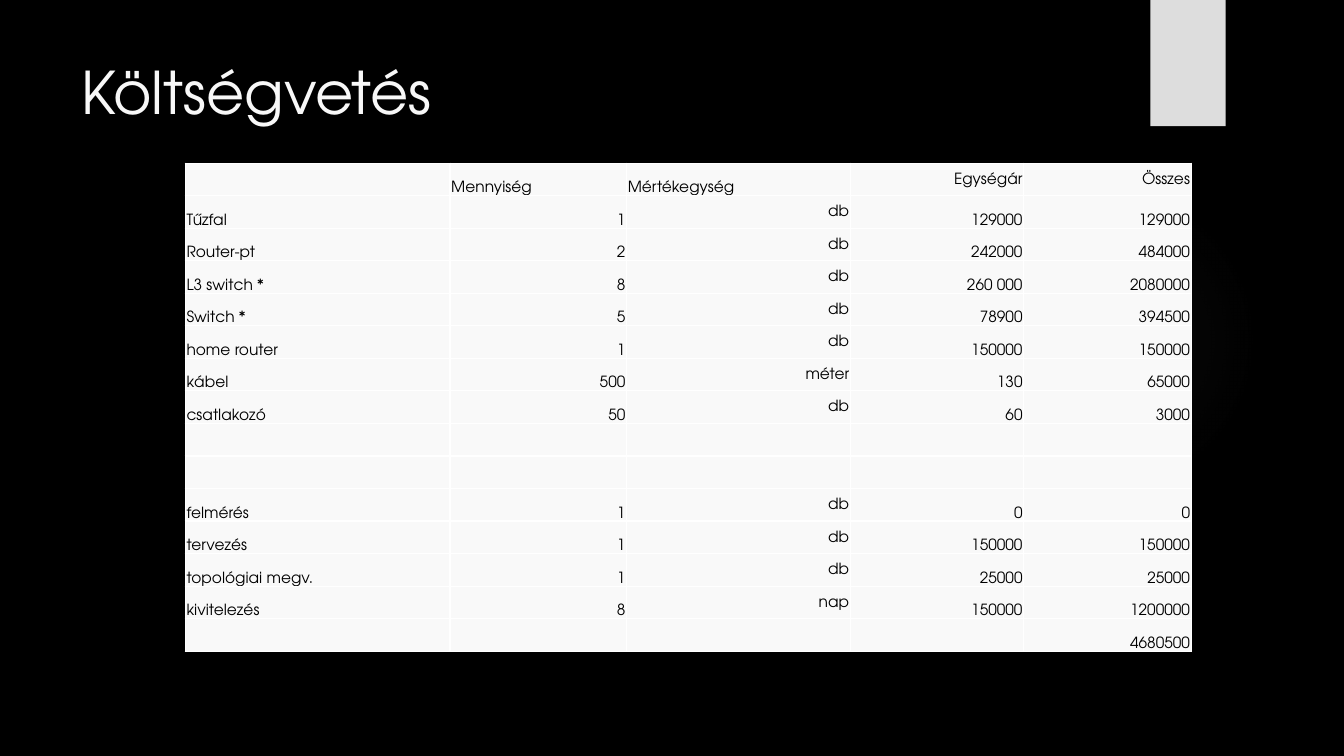
from lxml.etree import SubElement
from pptx import Presentation
from pptx.dml.color import RGBColor
from pptx.enum.shapes import MSO_SHAPE
from pptx.enum.text import MSO_ANCHOR, PP_ALIGN
from pptx.oxml import parse_xml
from pptx.oxml.ns import nsdecls, qn
from pptx.util import Cm, Pt

FONT = "TeX Gyre Adventor"
COLUMN_WIDTHS = [6.67, 4.45, 5.64, 4.37, 4.22]
ROW_HEIGHT = 0.82
UNIT_COLUMN = 2
BUDGET = [
    ["", "Mennyiség", "Mértékegység", "Egységár", "Összes"],
    ["Tűzfal", "1", "db", "129000", "129000"],
    ["Router-pt", "2", "db", "242000", "484000"],
    ["L3 switch *", "8", "db", "260 000", "2080000"],
    ["Switch *", "5", "db", "78900", "394500"],
    ["home router", "1", "db", "150000", "150000"],
    ["kábel", "500", "méter", "130", "65000"],
    ["csatlakozó", "50", "db", "60", "3000"],
    [""] * 5,
    [""] * 5,
    ["felmérés", "1", "db", "0", "0"],
    ["tervezés", "1", "db", "150000", "150000"],
    ["topológiai megv.", "1", "db", "25000", "25000"],
    ["kivitelezés", "8", "nap", "150000", "1200000"],
    ["", "", "", "", "4680500"],
]


def color(value):
    return RGBColor.from_string(value)


def format_runs(paragraph, size, value):
    for run in paragraph.runs:
        run.font.name = FONT
        run.font.size = Pt(size)
        run.font.color.rgb = color(value)


def add_plain_shape(slide, kind, left, top, width, height, fill):
    shape = slide.shapes.add_shape(kind, Cm(left), Cm(top), Cm(width), Cm(height))
    shape.shadow.inherit = False
    shape.fill.solid()
    shape.fill.fore_color.rgb = color(fill)
    shape.line.fill.background()
    return shape


def add_glow(slide, left, top, size):
    glow = add_plain_shape(slide, MSO_SHAPE.OVAL, left, top, size, size, "666666")
    # Radial gradient that fades to full transparency
    stops = "".join(
        f'<a:gs pos="{position * 1000}"><a:srgbClr val="666666">'
        f'<a:alpha val="{alpha * 1000}"/></a:srgbClr></a:gs>'
        for position, alpha in [(0, 7), (36, 6), (69, 0)]
    )
    gradient = parse_xml(
        f'<a:gradFill {nsdecls("a")}><a:gsLst>{stops}</a:gsLst>'
        '<a:path path="circle"><a:fillToRect l="0" t="0" r="0" b="0"/></a:path></a:gradFill>'
    )
    properties = glow._element.spPr
    properties.replace(properties.find(qn("a:solidFill")), gradient)


def add_title(slide, text):
    box = slide.shapes.add_textbox(Cm(1.8), Cm(1.27), Cm(26.14), Cm(3.89))
    box.text_frame.word_wrap = True
    box.text_frame.text = text
    format_runs(box.text_frame.paragraphs[0], 42, "F8F8F8")


def add_borders(cell, value, width):
    properties = cell._tc.get_or_add_tcPr()
    for index, side in enumerate(["lnL", "lnR", "lnT", "lnB"]):
        properties.insert(index, parse_xml(
            f'<a:{side} {nsdecls("a")} w="{Pt(width)}"><a:solidFill>'
            f'<a:srgbClr val="{value}"/></a:solidFill></a:{side}>'
        ))


def fill_cell(cell, text, align, anchor):
    cell.margin_left = cell.margin_right = cell.margin_top = Cm(0.03)
    cell.margin_bottom = 0
    cell.vertical_anchor = anchor
    cell.fill.solid()
    cell.fill.fore_color.rgb = color("F9F9F9")
    add_borders(cell, "FFFFFF", 1)
    cell.text_frame.text = text
    paragraph = cell.text_frame.paragraphs[0]
    paragraph.alignment = align
    format_runs(paragraph, 11, "000000")
    if not text:
        SubElement(paragraph._p, qn("a:endParaRPr"), sz="1100")


def add_budget_table(slide, left, top):
    frame = slide.shapes.add_table(
        len(BUDGET), len(COLUMN_WIDTHS), Cm(left), Cm(top),
        Cm(sum(COLUMN_WIDTHS)), Cm(ROW_HEIGHT * len(BUDGET)),
    )
    table = frame.table
    table.first_row = table.horz_banding = False
    for column, width in zip(table.columns, COLUMN_WIDTHS):
        column.width = Cm(width)
    for row_index, values in enumerate(BUDGET):
        table.rows[row_index].height = Cm(ROW_HEIGHT)
        is_header = row_index == 0
        for column_index, text in enumerate(values):
            # Labels sit left; numbers, units and price headings sit right
            last_left = UNIT_COLUMN if is_header else 0
            align = PP_ALIGN.LEFT if column_index <= last_left else PP_ALIGN.RIGHT
            is_middle = column_index > UNIT_COLUMN if is_header else column_index == UNIT_COLUMN
            anchor = MSO_ANCHOR.MIDDLE if is_middle else MSO_ANCHOR.BOTTOM
            fill_cell(table.cell(row_index, column_index), text, align, anchor)


def main():
    presentation = Presentation()
    presentation.slide_width = Cm(33.87)
    presentation.slide_height = Cm(19.05)
    slide = presentation.slides.add_slide(presentation.slide_layouts[6])

    # Background and decoration
    slide.background.fill.solid()
    slide.background.fill.fore_color.rgb = color("000000")
    add_glow(slide, 23.9, 4.65, 7.82)
    add_plain_shape(slide, MSO_SHAPE.RECTANGLE, 28.99, 0, 1.9, 3.18, "DDDDDD")

    # Content
    add_title(slide, "Költségvetés")
    add_budget_table(slide, 4.67, 4.11)

    presentation.save("out.pptx")


if __name__ == "__main__":
    main()
